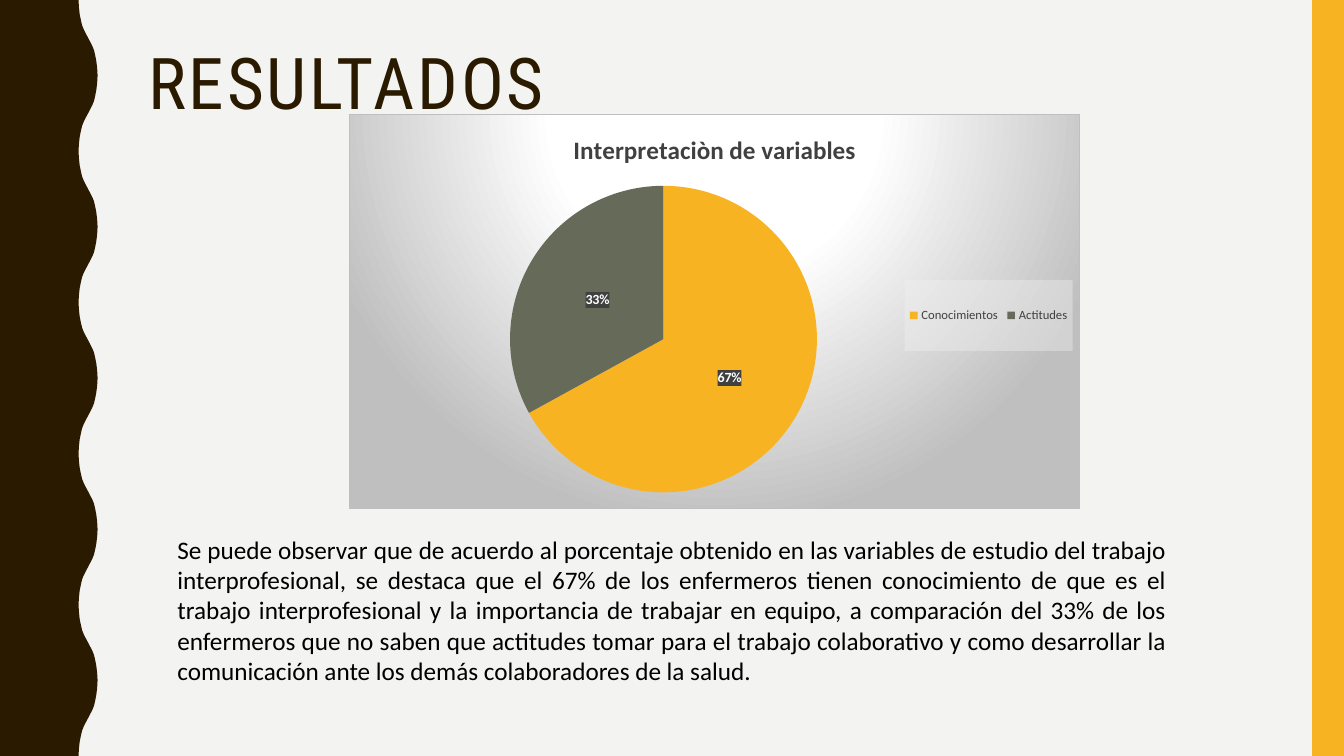
from dataclasses import dataclass

from lxml.etree import _Element as Element
from pptx import Presentation
from pptx.chart.data import CategoryChartData
from pptx.dml.color import RGBColor
from pptx.enum.chart import XL_CHART_TYPE as ChartType
from pptx.enum.chart import XL_LABEL_POSITION as LabelPosition
from pptx.enum.chart import XL_LEGEND_POSITION as LegendPosition
from pptx.enum.shapes import MSO_SHAPE as Preset
from pptx.enum.text import MSO_ANCHOR as Anchor
from pptx.enum.text import MSO_AUTO_SIZE as AutoSize
from pptx.enum.text import PP_ALIGN as Align
from pptx.oxml import parse_xml
from pptx.oxml.ns import nsdecls, qn
from pptx.util import Cm, Pt

COLORS = {
    "background": "F3F3F2", "brown": "2A1A00", "amber": "F8B323",
    "olive": "656A59", "black": "000000", "white": "FFFFFF",
    "dark": "404040", "silver": "BFBFBF", "pale": "F2F2F2",
}
WIDTH, HEIGHT = 33.87, 19.05
WAVES = 5
# One quarter of a wave: distance down and outward, in cm
WAVE_QUARTER = [(0, 0), (0.18, 0.01), (0.36, 0.03), (0.51, 0.06),
                (0.64, 0.09), (0.74, 0.13), (0.84, 0.18), (0.95, 0.24)]
WAVE_INNER, WAVE_SWING = 1.98, 0.48


@dataclass
class Box:
    left: float
    top: float
    width: float
    height: float

    def lengths(self) -> tuple:
        return Cm(self.left), Cm(self.top), Cm(self.width), Cm(self.height)


@dataclass
class Slice:
    name: str
    percent: int
    color: str


SLICES = [Slice("Conocimientos", 67, "amber"), Slice("Actitudes", 33, "olive")]


def rgb(color: str) -> RGBColor:
    return RGBColor.from_string(COLORS[color])


def style_font(font, size: float, color: str, name: str = "Calibri",
               bold: bool = False) -> None:
    font.name, font.size, font.bold = name, Pt(size), bold
    font.color.rgb = rgb(color)


def write(frame, text: str, *, align: Align = Align.LEFT, line: float = 1.0,
          spacing: float = 0, **font_format) -> None:
    paragraph = frame.paragraphs[0]
    paragraph.alignment, paragraph.line_spacing = align, line
    run = paragraph.add_run()
    run.text = text
    style_font(run.font, **font_format)
    if spacing:
        run.font._element.set("spc", str(round(spacing * 100)))


def paint(shape, color: str) -> None:
    shape.fill.solid()
    shape.fill.fore_color.rgb = rgb(color)
    shape.line.fill.background()
    shape.shadow.inherit = False


def add_wavy_edge(slide) -> None:
    period = HEIGHT / WAVES
    half = period / 2
    outward = [(y, x) for y, x in WAVE_QUARTER]
    outward += [(half - y, WAVE_SWING - x) for y, x in reversed(WAVE_QUARTER[:-1])]
    wave = outward + [(period - y, x) for y, x in reversed(outward[:-1])]
    points = [(Cm(WAVE_INNER + x), Cm(n * period + y))
              for n in range(WAVES) for y, x in wave]
    edge = slide.shapes.build_freeform(0, 0)
    edge.add_line_segments(points + [(0, Cm(HEIGHT))], close=True)
    paint(edge.convert_to_shape(), "brown")


def solid_xml(color: str, alpha: int) -> str:
    return (f'<a:solidFill><a:srgbClr val="{COLORS[color]}">'
            f'<a:alpha val="{alpha * 1000}"/></a:srgbClr></a:solidFill>')


def set_chart_fill(part: Element, fill: str) -> None:
    """Put shape properties ahead of the part's text properties."""
    properties = parse_xml(f'<c:spPr {nsdecls("c", "a")}>{fill}</c:spPr>')
    part.find(qn("c:txPr")).addprevious(properties)


def layout_xml(x: float, y: float, w: float, h: float, inner: bool = False) -> Element:
    target = '<c:layoutTarget val="inner"/>' if inner else ""
    sizes = "".join(f'<c:{key} val="{value}"/>'
                    for key, value in zip("xywh", (x, y, w, h)))
    return parse_xml(f'<c:layout {nsdecls("c")}><c:manualLayout>{target}'
                     '<c:xMode val="edge"/><c:yMode val="edge"/>'
                     f'{sizes}</c:manualLayout></c:layout>')


def set_layout(part: Element, layout: Element, index: int) -> None:
    for old in part.findall(qn("c:layout")):
        part.remove(old)
    part.insert(index, layout)


def add_variables_pie(slide, box: Box) -> None:
    data = CategoryChartData()
    data.categories = [item.name for item in SLICES]
    data.add_series("Series 1", [item.percent for item in SLICES])
    chart = slide.shapes.add_chart(ChartType.PIE, *box.lengths(), data).chart
    style_font(chart.font, 10, "black")
    space = chart._chartSpace

    # Chart title
    chart.has_title = True
    write(chart.chart_title.text_frame, "Interpretaciòn de variables",
          align=Align.CENTER, size=18, color="dark", bold=True)
    chart.chart_title.include_in_layout = False

    # Slices and percentages
    pie = chart.plots[0]
    pie.vary_by_categories = True
    for index, item in enumerate(SLICES):
        fill = pie.series[0].points[index].format.fill
        fill.solid()
        fill.fore_color.rgb = rgb(item.color)
    labels = pie.series[0].data_labels
    labels.show_percentage, labels.show_value = True, False
    labels.number_format, labels.number_format_is_linked = "0%", False
    labels.position = LabelPosition.CENTER
    style_font(labels.font, 10, "white", bold=True)
    set_chart_fill(labels._element, solid_xml("dark", 90))
    set_layout(space.find(".//" + qn("c:plotArea")),
               layout_xml(0.22, 0.18, 0.42, 0.78, inner=True), 0)

    # Legend
    chart.has_legend = True
    chart.legend.position = LegendPosition.RIGHT
    chart.legend.include_in_layout = False
    style_font(chart.legend.font, 9, "dark")
    legend = space.find(".//" + qn("c:legend"))
    set_chart_fill(legend, solid_xml("pale", 39))
    set_layout(legend, layout_xml(0.76, 0.42, 0.23, 0.18), 1)

    # Radial background
    stops = "".join(f'<a:gs pos="{at * 1000}"><a:srgbClr val="{COLORS[color]}"/></a:gs>'
                    for at, color in ((0, "white"), (39, "white"), (100, "silver")))
    set_chart_fill(space, f'<a:gradFill><a:gsLst>{stops}</a:gsLst><a:path path="circle">'
                   '<a:fillToRect l="50000" t="-80000" r="50000" b="180000"/></a:path>'
                   f'</a:gradFill><a:ln w="{Pt(0.75)}">{solid_xml("silver", 100)}</a:ln>')


def main() -> None:
    deck = Presentation()
    deck.slide_width, deck.slide_height = Cm(WIDTH), Cm(HEIGHT)
    slide = deck.slides.add_slide(deck.slide_layouts[5])
    slide.background.fill.solid()
    slide.background.fill.fore_color.rgb = rgb("background")

    # Side decoration
    add_wavy_edge(slide)
    band = Box(33.07, 0, 0.8, HEIGHT)
    paint(slide.shapes.add_shape(Preset.RECTANGLE, *band.lengths()), "amber")

    # Title
    title = slide.shapes.title
    title.left, title.top, title.width, title.height = Box(3.48, 1.07, 28.27, 4.14).lengths()
    title.text_frame.vertical_anchor = Anchor.TOP
    title.text_frame.auto_size = AutoSize.NONE
    write(title.text_frame, "RESULTADOS", size=51, color="brown",
          name="Roboto Condensed", line=0.9, spacing=2)

    add_variables_pie(slide, Box(8.79, 2.87, 18.44, 9.96))

    # Interpretation
    findings = slide.shapes.add_textbox(*Box(4.22, 13.34, 25.43, 4.11).lengths()).text_frame
    findings.word_wrap = True
    findings.auto_size = AutoSize.SHAPE_TO_FIT_TEXT
    write(findings, "Se puede observar que de acuerdo al porcentaje obtenido en las "
          "variables de estudio del trabajo interprofesional, se destaca que el 67% de los "
          "enfermeros tienen conocimiento de que es el trabajo interprofesional y la "
          "importancia de trabajar en equipo, a comparación del 33% de los enfermeros que "
          "no saben que actitudes tomar para el trabajo colaborativo y como desarrollar la "
          "comunicación ante los demás colaboradores de la salud.",
          align=Align.JUSTIFY, size=18, color="black")

    deck.save("out.pptx")


if __name__ == "__main__":
    main()
